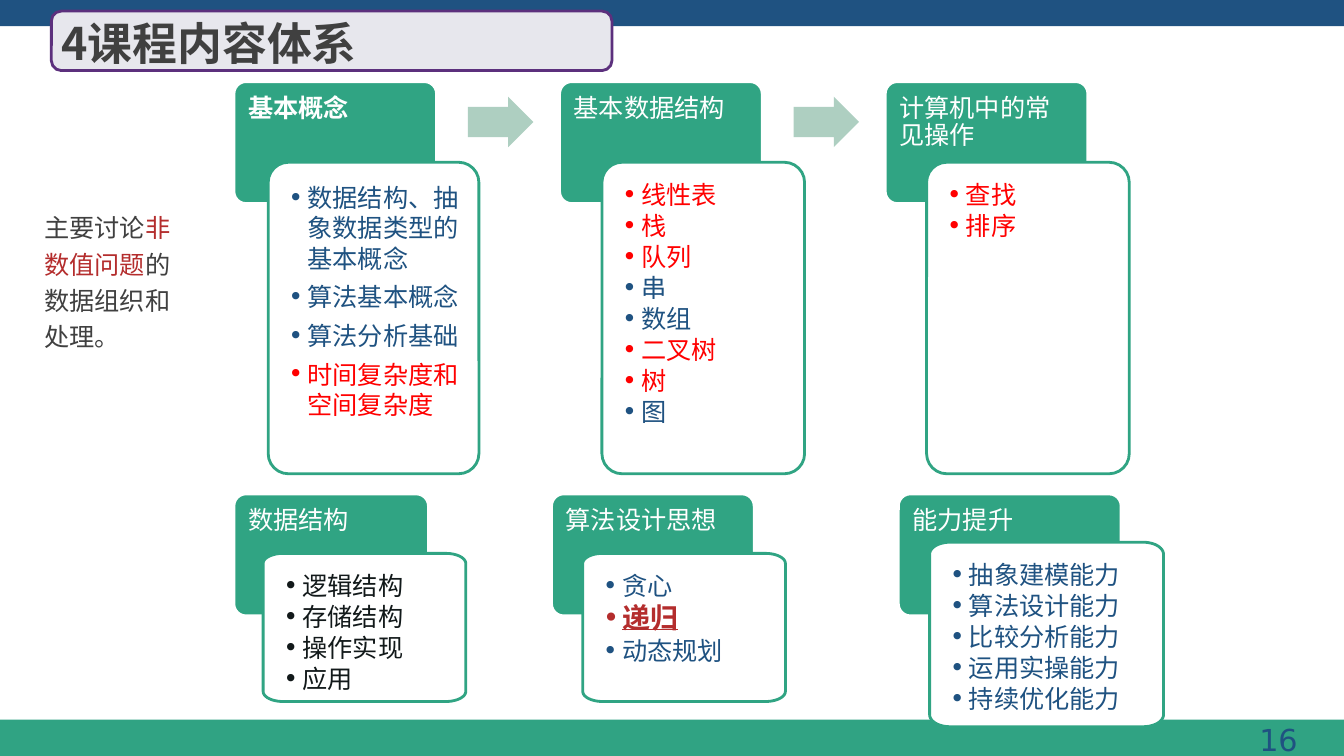
import math
from dataclasses import dataclass
from typing import Optional

from lxml import etree
from pptx import Presentation
from pptx import util as u
from pptx.dml.color import RGBColor
from pptx.enum import shapes, text
from pptx.oxml import ns

COLORS = {
    "navy": "1F5281", "green": "30A483", "bar": "30A383", "arrow": "AECFC1",
    "white": "FFFFFF", "red": "FF0000", "crimson": "B42D2D", "ink": "12191A",
    "gray": "404040", "title": "E7E7ED", "purple": "5C307D",
}
BODY_FONT = "DejaVu Sans"


@dataclass
class Frame:
    left: float
    top: float
    width: float
    height: float

    def lengths(self) -> list:
        return [u.Inches(v) for v in (self.left, self.top, self.width, self.height)]


@dataclass
class Item:
    words: str
    color: str = "navy"
    size: float = 18
    strong: bool = False


@dataclass
class Topic:
    heading: str
    header: Frame
    panel: Frame
    items: list
    corner_height: float = 0.2
    bold: bool = False
    line_spacing: float = 0.9
    space_after: float = 2.7


def rgb(name: str) -> RGBColor:
    return RGBColor.from_string(COLORS[name])


def style(span, color: str, size: float = 18, bold: bool = False,
          font: str = BODY_FONT) -> None:
    span.font.size = u.Pt(size)
    span.font.bold = bold
    span.font.color.rgb = rgb(color)
    span.font.name = font
    asian = etree.SubElement(span.font._element, ns.qn("a:ea"))
    asian.set("typeface", BODY_FONT)


def paint(shape, fill: str, line: Optional[str] = None) -> None:
    shape.shadow.inherit = False
    shape.fill.solid()
    shape.fill.fore_color.rgb = rgb(fill)
    if line:
        shape.line.color.rgb = rgb(line)
        shape.line.width = u.Pt(2)
    else:
        shape.line.fill.background()


def add_preset(page, kind, frame: Frame, fill: str, line: Optional[str] = None):
    shape = page.shapes.add_shape(kind, *frame.lengths())
    paint(shape, fill, line)
    return shape


def add_oval_cornered(page, frame: Frame, rx: float, ry: float):
    right, bottom = frame.left + frame.width - rx, frame.top + frame.height - ry
    left, top = frame.left + rx, frame.top + ry
    points = []
    for quarter, (x, y) in enumerate([(right, bottom), (left, bottom), (left, top), (right, top)]):
        for step in range(13):
            angle = math.radians(90 * quarter + 7.5 * step)
            points.append((u.Inches(x + rx * math.cos(angle)),
                           u.Inches(y + ry * math.sin(angle))))
    builder = page.shapes.build_freeform(*points[0])
    builder.add_line_segments(points[1:], close=True)
    return builder.convert_to_shape()


def add_card(page, frame: Frame, fill: str, line: str, radius: float,
             corner_height: float, insets: tuple):
    if radius == corner_height:
        card = page.shapes.add_shape(shapes.MSO_SHAPE.ROUNDED_RECTANGLE, *frame.lengths())
        card.adjustments[0] = radius / min(frame.width, frame.height)
        built_in = 0.29 * radius
    else:
        card = add_oval_cornered(page, frame, radius, corner_height)
        built_in = 0
    paint(card, fill, line)
    body = card.text_frame
    body.word_wrap = True
    body.vertical_anchor = text.MSO_ANCHOR.TOP
    body.margin_left, body.margin_top, body.margin_right, body.margin_bottom = (
        u.Inches(inset - built_in) for inset in insets)
    return card


def add_bullet(para) -> None:
    properties = para._p.get_or_add_pPr()
    properties.set("marL", str(u.Inches(0.19)))
    properties.set("indent", str(-u.Inches(0.19)))
    etree.SubElement(properties, ns.qn("a:buFont")).set("typeface", BODY_FONT)
    etree.SubElement(properties, ns.qn("a:buChar")).set("char", "•")


def add_topic(page, topic: Topic) -> None:
    header = add_card(page, topic.header, "green", "white", 0.12, 0.12,
                      (0.14, 0.14, 0.14, 0.48))
    para = header.text_frame.paragraphs[0]
    para.text = topic.heading
    para.alignment = text.PP_ALIGN.LEFT
    para.line_spacing = 0.9
    style(para.runs[0], "white", bold=topic.bold)

    panel = add_card(page, topic.panel, "white", "green", 0.2, topic.corner_height,
                     (0.2, 0.2, 0.15, 0.2))
    panel.text_frame.text = "\n".join(item.words for item in topic.items)
    for para, item in zip(panel.text_frame.paragraphs, topic.items):
        add_bullet(para)
        para.alignment = text.PP_ALIGN.LEFT
        para.line_spacing = topic.line_spacing
        para.space_after = u.Pt(topic.space_after)
        style(para.runs[0], item.color, item.size, item.strong)
        para.runs[0].font.underline = item.strong


def add_text(page, frame: Frame, parts: list, size: float, font: str, bold: bool = False):
    box = page.shapes.add_textbox(*frame.lengths())
    box.text_frame.word_wrap = True
    para = box.text_frame.paragraphs[0]
    for words, color in parts:
        span = para.add_run()
        span.text = words
        style(span, color, size, bold, font)
    return box


def items(words: str, color: str = "navy") -> list:
    return [Item(word, color) for word in words.split()]


TOPICS = [
    Topic("基本概念", Frame(2.32, 0.81, 2.01, 1.21), Frame(2.66, 1.61, 2.09, 3.09),
          items("数据结构、抽象数据类型的基本概念 算法基本概念 算法分析基础")
          + items("时间复杂度和空间复杂度", "red"),
          bold=True, line_spacing=1.0, space_after=6),
    Topic("基本数据结构", Frame(5.55, 0.81, 2.01, 1.21), Frame(5.97, 1.61, 2.01, 3.09),
          items("线性表 栈 队列", "red") + items("串 数组")
          + items("二叉树 树", "red") + items("图")),
    Topic("计算机中的常见操作", Frame(8.78, 0.81, 2.01, 1.21), Frame(9.19, 1.61, 2.01, 3.09),
          items("查找 排序", "red")),
    Topic("算法设计思想", Frame(5.47, 4.9, 2.01, 1.21), Frame(5.78, 5.49, 2.01, 1.47),
          [Item("贪心"), Item("递归", "crimson", 20, True), Item("动态规划")], 0.1),
    Topic("能力提升", Frame(8.91, 4.9, 2.21, 1.21), Frame(9.22, 5.38, 2.32, 1.83),
          items("抽象建模能力 算法设计能力 比较分析能力 运用实操能力 持续优化能力"), 0.12),
    Topic("数据结构", Frame(2.32, 4.9, 1.93, 1.21), Frame(2.61, 5.49, 2.01, 1.47),
          items("逻辑结构 存储结构 操作实现 应用", "ink"), 0.1),
]


def main() -> None:
    deck = Presentation()
    deck.slide_width, deck.slide_height = u.Inches(13.33), u.Inches(7.5)
    page = deck.slides.add_slide(deck.slide_layouts[6])
    preset = shapes.MSO_SHAPE
    add_preset(page, preset.RECTANGLE, Frame(0, 7.14, 13.33, 0.36), "bar")
    add_preset(page, preset.RECTANGLE, Frame(0, 0, 13.33, 0.26), "navy")
    number = add_text(page, Frame(10.03, 7.11, 2.94, 0.46), [("16", "navy")], 21.6, BODY_FONT)
    number.text_frame.paragraphs[0].alignment = text.PP_ALIGN.RIGHT

    for topic in TOPICS:
        add_topic(page, topic)
    for left in (4.64, 7.87):
        arrow = add_preset(page, preset.RIGHT_ARROW, Frame(left, 0.96, 0.65, 0.5), "arrow")
        arrow.adjustments[0] = 0.6

    add_preset(page, preset.ROUNDED_RECTANGLE, Frame(0.51, 0.11, 5.56, 0.59), "title", "purple")
    title = add_text(page, Frame(0.51, 0.1, 5.9, 0.64), [("4课程内容体系", "gray")],
                     32, "Noto Sans CJK SC", True)
    title.text_frame.vertical_anchor = text.MSO_ANCHOR.MIDDLE
    scope = add_text(page, Frame(0.34, 2, 1.68, 1.56),
                     [("主要讨论", "gray"), ("非数值问题", "crimson"),
                      ("的数据组织和处理。", "gray")], 18, "Times New Roman")
    scope.text_frame.paragraphs[0].line_spacing = 1.2
    deck.save("out.pptx")


if __name__ == "__main__":
    main()
